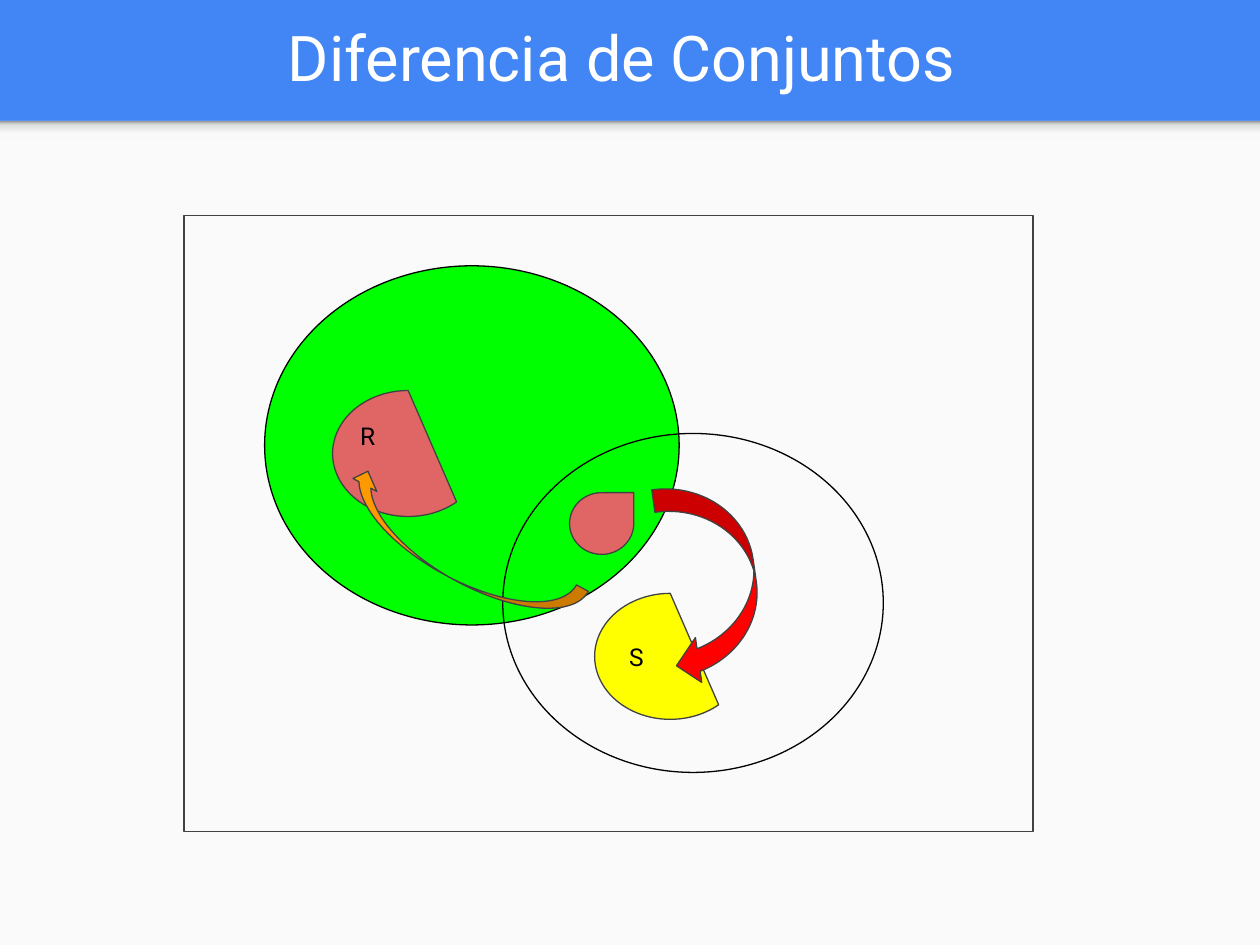
from copy import deepcopy

from pptx import Presentation
from pptx.dml.color import RGBColor
from pptx.enum.shapes import MSO_SHAPE
from pptx.enum.text import MSO_ANCHOR, PP_ALIGN
from pptx.oxml.ns import qn
from pptx.util import Inches, Pt

RECT, ELLIPSE, TEAR = MSO_SHAPE.RECTANGLE, MSO_SHAPE.OVAL, MSO_SHAPE.TEAR
CHORD, ARROW = MSO_SHAPE.CHORD, MSO_SHAPE.CURVED_LEFT_ARROW
TOP, MIDDLE = MSO_ANCHOR.TOP, MSO_ANCHOR.MIDDLE
LEFT, CENTER = PP_ALIGN.LEFT, PP_ALIGN.CENTER

BLUE = RGBColor(0x42, 0x85, 0xF4)
PAPER = RGBColor(0xFA, 0xFA, 0xFA)
WHITE = RGBColor(0xFF, 0xFF, 0xFF)
BLACK = RGBColor(0, 0, 0)
GRAY = RGBColor(0x42, 0x42, 0x42)
GREEN = RGBColor(0, 0xFF, 0)
ROSE = RGBColor(0xE0, 0x66, 0x66)
YELLOW = RGBColor(0xFF, 0xFF, 0)
ORANGE = RGBColor(0xFF, 0x99, 0)
RED = RGBColor(0xFF, 0, 0)
SHADE_LIGHT = RGBColor(0xF9, 0xF9, 0xF9)
SHADE_MID = RGBColor(0xDE, 0xDE, 0xDE)
SHADE_DARK = RGBColor(0x99, 0x99, 0x99)

WIDTH, HEIGHT, BAND = 10, 7.5, 0.96
TITLE = "Diferencia de Conjuntos"
SHADE = [(0, SHADE_LIGHT), (0.36, SHADE_LIGHT), (0.8, SHADE_MID), (1, SHADE_DARK)]
PIECE = (1.2, 1)
SET_R = (ELLIPSE, (2.1, 2.11, 3.29, 2.85), GREEN, BLACK, 0)
SET_S = (ELLIPSE, (3.99, 3.44, 3.02, 2.69), None, BLACK, 0)
SHARED = (TEAR, (4.52, 3.91, 0.51, 0.49), ROSE, GRAY, 0)
PIECE_R = (CHORD, (2.64, 3.1, *PIECE), ROSE, GRAY, 0)
PIECE_S = (CHORD, (4.72, 4.71, *PIECE), YELLOW, GRAY, 0)
TO_R = (ARROW, (3.43, 3.33, 0.43, 2.1), ORANGE, GRAY, 118.6)
TO_S = (ARROW, (5.28, 3.83, 0.72, 1.59), RED, GRAY, 352)
UNIVERSE = (RECT, (1.46, 1.71, 6.74, 4.89), None, GRAY, 0)
LABEL_R = (2.76, 3.24, 0.57, 0.41)


def add_shape(slide, kind, box, fill, line, rotation):
    sp = slide.shapes.add_shape(kind, *map(Inches, box))
    sp.shadow.inherit = False
    sp.rotation = rotation
    if fill is None:
        sp.fill.background()
    else:
        sp.fill.solid()
        sp.fill.fore_color.rgb = fill
    if line is None:
        sp.line.fill.background()
    else:
        sp.line.color.rgb = line
        sp.line.width = Pt(0.75)
    return sp


def shade(sp, stops):
    sp.fill.gradient()
    sp.fill.gradient_angle = 90
    gs_list = next(sp._element.iter(qn("a:gsLst")))
    while len(gs_list) < len(stops):
        gs_list.append(deepcopy(gs_list[-1]))
    for stop, (position, color) in zip(sp.fill.gradient_stops, stops):
        stop.position = position
        stop.color.rgb = color


def set_text(sp, text, size, color, align, anchor, inset):
    tf = sp.text_frame
    frame = dict(word_wrap=True, vertical_anchor=anchor, margin_left=Inches(0.1),
                 margin_right=Inches(0.1), margin_top=Inches(inset),
                 margin_bottom=Inches(inset))
    for name, value in frame.items():
        setattr(tf, name, value)
    p = tf.paragraphs[0]
    p.alignment = align
    r = p.add_run()
    r.text = text
    for name, value in dict(name="Roboto", size=Pt(size)).items():
        setattr(r.font, name, value)
    r.font.color.rgb = color


def main():
    """Build the set difference slide."""
    prs = Presentation()
    prs.slide_width, prs.slide_height = Inches(WIDTH), Inches(HEIGHT)
    s = prs.slides.add_slide(prs.slide_layouts[5])
    s.background.fill.solid()
    s.background.fill.fore_color.rgb = BLUE

    add_shape(s, RECT, (0, BAND, WIDTH, HEIGHT - BAND), PAPER, None, 0)
    shade(add_shape(s, RECT, (0, BAND, WIDTH, 0.16), PAPER, None, 0), SHADE)

    title = s.shapes.title
    title.left, title.top, title.width, title.height = map(Inches, (0.11, 0.03, 9.65, 0.84))
    set_text(title, TITLE, 36, WHITE, CENTER, MIDDLE, 0.05)

    for item in (SET_R, SET_S, SHARED, PIECE_R):
        add_shape(s, *item)
    label = s.shapes.add_textbox(*map(Inches, LABEL_R))
    set_text(label, "R", 14, BLACK, LEFT, TOP, 0.1)
    set_text(add_shape(s, *PIECE_S), "S", 14, BLACK, LEFT, MIDDLE, 0.1)
    for item in (TO_R, TO_S, UNIVERSE):
        add_shape(s, *item)

    prs.save("out.pptx")


if __name__ == "__main__":
    main()
